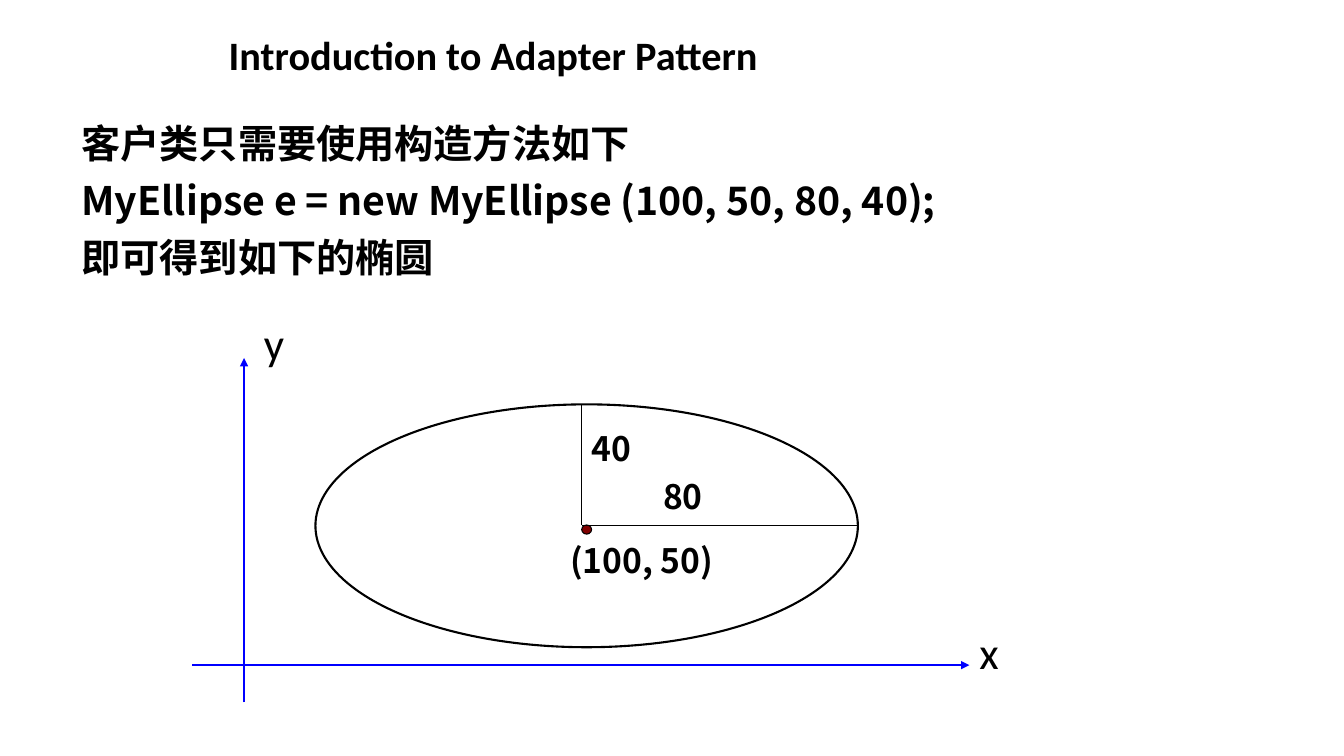
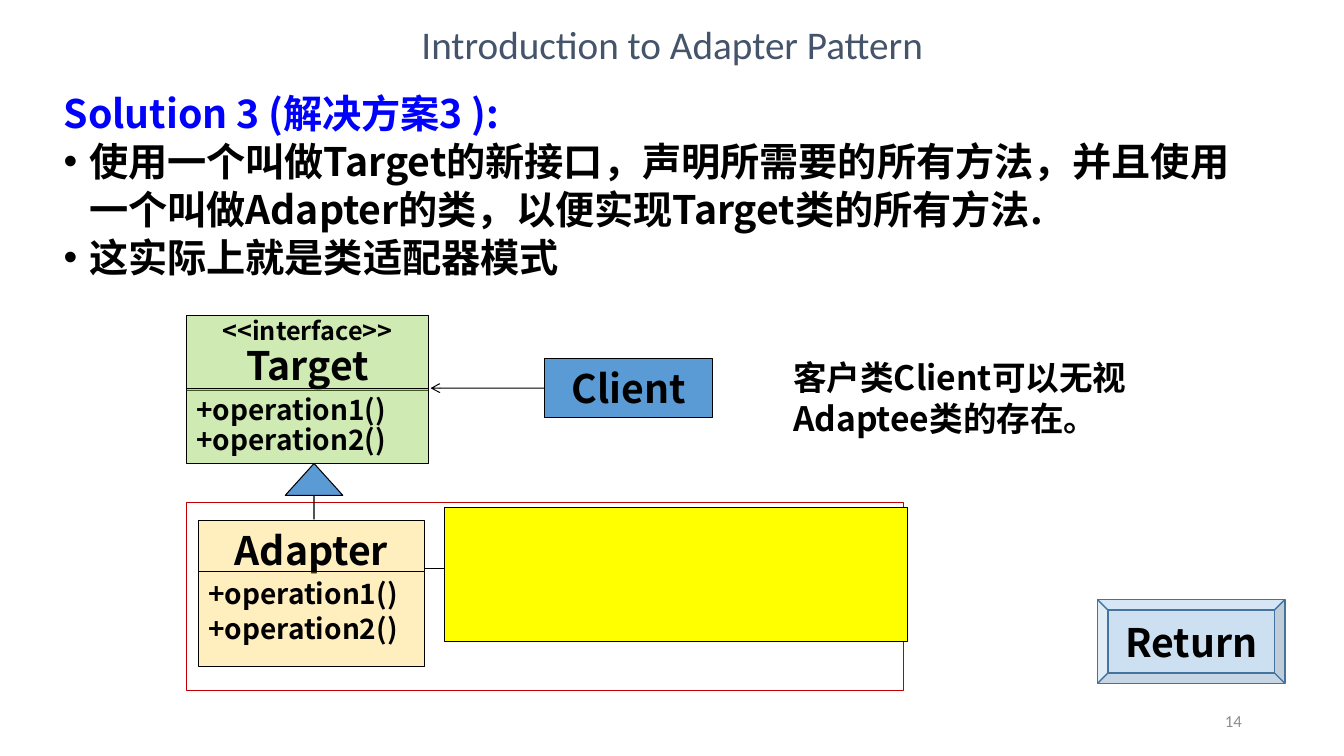
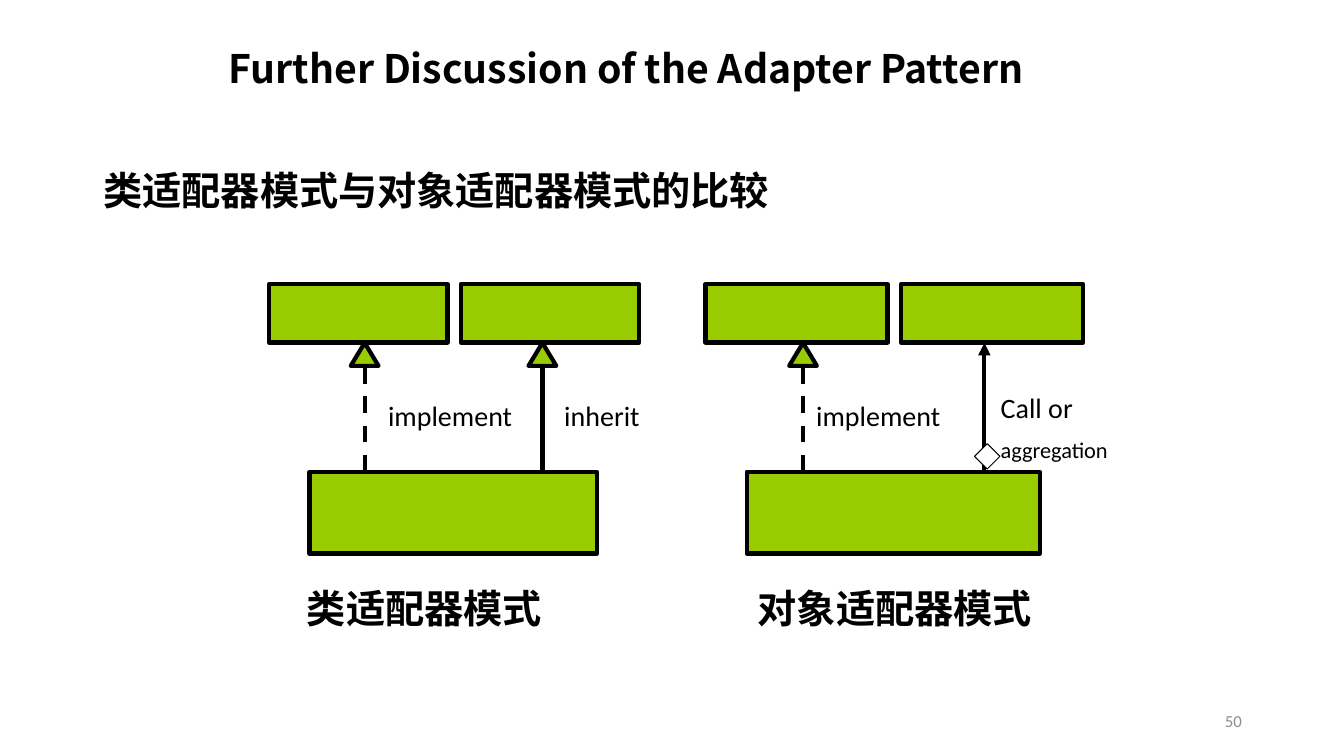
from lxml.etree import SubElement
from pptx import Presentation
from pptx.dml.color import RGBColor
from pptx.enum.dml import MSO_LINE
from pptx.enum.shapes import MSO_CONNECTOR as Connector, MSO_SHAPE as Shape
from pptx.enum.text import MSO_ANCHOR as Anchor, MSO_AUTO_SIZE as AutoSize, PP_ALIGN as Align
from pptx.oxml.ns import qn
from pptx.util import Cm, Pt

COLORS = {
    "black": "000000", "blue": "0000FF", "maroon": "800000", "gray": "8C8C8C",
    "slate": "44546A", "red": "C00000", "green": "92D050", "sky": "5B9BD5",
    "steel": "43739E", "amber": "FFC000", "yellow": "FFFF00", "lime": "99CC00",
    "white": "FFFFFF",
}
CJK, LATIN = "Noto Sans CJK SC", "Calibri"
LINE_HEIGHT = 1.22
HANGING = Cm(0.64)
TEXT = {"size": 28, "font": CJK, "color": "black", "bold": True,
        "align": Align.LEFT, "leading": 1, "before": 0, "bullet": None}
PLAIN = {"font": LATIN, "bold": False}
LABEL = {"size": 24}
AXIS = {"color": "blue", "width": 1.5, "head": "triangle"}
BLOCK = {"fill": "lime", "width": 3}
MEMBERS = ["+operation1()", "+operation2()"]


def assign(target, values):
    for name, value in values.items():
        setattr(target, name, value)


def rgb(name):
    return RGBColor.from_string(COLORS[name])


class Builder:
    def __init__(self):
        self.deck = Presentation()
        assign(self.deck, {"slide_width": Cm(33.87), "slide_height": Cm(19.05)})
        self.page = None

    def start(self, layout, number=None):
        self.page = self.deck.slides.add_slide(self.deck.slide_layouts[layout])
        if number:
            self.text(number, (23.93, 17.65, 7.62, 1.02), Anchor.MIDDLE,
                      **PLAIN, size=12, color="gray", align=Align.RIGHT)

    def fill_text(self, frame, content, anchor=Anchor.TOP, **style):
        assign(frame, {"word_wrap": True, "auto_size": AutoSize.NONE, "vertical_anchor": anchor})
        items = [content] if isinstance(content, str) else content
        for index, item in enumerate(items):
            words, extra = (item, {}) if isinstance(item, str) else item
            look = {**TEXT, **style, **extra}
            para = frame.add_paragraph() if index else frame.paragraphs[0]
            assign(para, {
                "alignment": look["align"],
                "line_spacing": Pt(look["size"] * LINE_HEIGHT * look["leading"]),
                "space_before": Pt(look["before"]),
            })
            if look["bullet"] is not None:
                self.hang(para, look["bullet"])
            span = para.add_run()
            span.text = words
            assign(span.font, {"size": Pt(look["size"]), "name": look["font"], "bold": look["bold"]})
            span.font.color.rgb = rgb(look["color"])
            SubElement(span.font._element, qn("a:ea"), typeface=look["font"])

    def hang(self, para, mark):
        properties = para._p.get_or_add_pPr()
        properties.set("marL", str(HANGING))
        properties.set("indent", str(-HANGING))
        if mark:
            SubElement(properties, qn("a:buFont"), typeface="Arial")
            SubElement(properties, qn("a:buChar"), char=mark)
        else:
            SubElement(properties, qn("a:buNone"))

    def place(self, box, area):
        assign(box, dict(zip(("left", "top", "width", "height"), map(Cm, area))))

    def title(self, words, area, **style):
        box = self.page.shapes.title
        self.place(box, area)
        self.fill_text(box.text_frame, words, Anchor.MIDDLE, **style)

    def body(self, content, area, **style):
        box = self.page.placeholders[1]
        self.place(box, area)
        self.fill_text(box.text_frame, content, **style)

    def text(self, content, area, anchor=Anchor.TOP, **style):
        box = self.page.shapes.add_textbox(*map(Cm, area))
        self.fill_text(box.text_frame, content, anchor, **style)

    def shape(self, kind, area, fill=None, line="black", width=0.75, alpha=None,
              adjust=(), content=None, anchor=Anchor.TOP, **style):
        box = self.page.shapes.add_shape(kind, *map(Cm, area))
        box.shadow.inherit = False
        for index, value in enumerate(adjust):
            box.adjustments[index] = value
        if fill:
            box.fill.solid()
            box.fill.fore_color.rgb = rgb(fill)
        else:
            box.fill.background()
        if alpha:
            color = box.element.find(".//" + qn("a:srgbClr"))
            SubElement(color, qn("a:alpha"), val=str(alpha * 1000))
        box.line.color.rgb = rgb(line)
        box.line.width = Pt(width)
        if content:
            self.fill_text(box.text_frame, content, anchor, **style)
        return box

    def line(self, start, end, color="black", width=0.75, head=None, dash=None, source=None):
        link = self.page.shapes.add_connector(Connector.STRAIGHT, *map(Cm, start + end))
        if source:
            link.begin_connect(*source)
        assign(link.line, {"width": Pt(width), "dash_style": dash})
        link.line.color.rgb = rgb(color)
        if head:
            SubElement(link.line._get_or_add_ln(), qn("a:tailEnd"), type=head)
        SubElement(link.element.spPr, qn("a:effectLst"))


def ellipse_page(builder):
    builder.start(1)
    builder.title("Introduction to Adapter Pattern", (5.51, 0.76, 22.86, 1.35),
                  size=28.8, font=LATIN, leading=0.9)
    builder.body(["客户类只需要使用构造方法如下",
                  "MyEllipse e = new MyEllipse (100, 50, 80, 40);",
                  "即可得到如下的椭圆"],
                 (1.8, 2.97, 26.77, 4.45), leading=0.9, before=10, bullet="")
    center = (14.66, 13.23)
    builder.shape(Shape.OVAL, (7.95, 10.19, 13.67, 6.12), width=1.5)
    builder.line((4.85, 16.76), (24.43, 16.76), **AXIS)
    builder.line((6.15, 17.7), (6.15, 9.02), **AXIS)
    builder.shape(Shape.OVAL, (*center, 0.25, 0.23), fill="maroon")
    for rim in ((21.62, 13.23), (14.66, 10.19)):
        builder.line(center, rim)
    for words, left, top, width in (("(100, 50)", 14.12, 13.46, 5.77),
                                    ("80", 16.46, 11.84, 2.31),
                                    ("40", 14.66, 10.64, 2.31)):
        builder.text(words, (left, top, width, 1.42), **LABEL)
    for words, left, top in (("x", 24.43, 15.6), ("y", 6.4, 7.82)):
        builder.text(words, (left, top, 1.8, 1.78), **PLAIN, size=32)


def class_adapter_page(builder):
    builder.start(1, "14")
    builder.title("Introduction to Adapter Pattern", (5.51, 0.2, 22.86, 1.78),
                  **PLAIN, color="slate", align=Align.CENTER)
    builder.body([("Solution 3 (解决方案3 ):", {"color": "blue", "bullet": ""}),
                  "使用一个叫做Target的新接口，声明所需要的所有方法，并且使用一个叫做Adapter的类，以便实现Target类的所有方法.",
                  "这实际上就是类适配器模式"],
                 (1.35, 2.11, 30.81, 5.44), bullet="•")
    rect = Shape.RECTANGLE
    target = {"fill": "green", "alpha": 43, "anchor": Anchor.MIDDLE, "leading": 0.9}
    adapter = {"fill": "amber", "alpha": 25}
    builder.shape(rect, (4.7, 12.67, 18.08, 4.72), line="red")
    builder.shape(rect, (4.7, 7.95, 6.1, 1.9), align=Align.CENTER, **target,
                  content=[("<<interface>>", {"size": 18}), "Target"])
    builder.shape(rect, (4.7, 9.78, 6.1, 1.9), content=MEMBERS, size=20, **target)
    builder.shape(Shape.UP_ARROW, (7.19, 11.68, 1.45, 1.4), fill="sky", adjust=(0.005, 0.573))
    builder.text(["客户类Client可以无视", "Adaptee类的存在。"], (19.74, 8.86, 8.99, 2.31), **LABEL)
    builder.shape(rect, (5, 13.11, 5.69, 1.3), content="Adapter", align=Align.CENTER, **adapter)
    builder.shape(rect, (5, 14.4, 5.69, 2.39), content=MEMBERS, size=20, **adapter)
    builder.line((10.69, 14.33), (11.2, 14.33))
    client = builder.shape(rect, (13.72, 9.04, 4.24, 1.48), fill="sky",
                           content="Client", align=Align.CENTER)
    builder.line((13.72, 9.78), (10.85, 9.78), head="arrow", source=(client, 1))
    builder.shape(rect, (11.2, 12.78, 11.68, 3.38), fill="yellow")
    builder.shape(Shape.BEVEL, (27.66, 15.11, 4.72, 2.11), fill="sky", alpha=31, line="steel",
                  width=1, content="Return", anchor=Anchor.MIDDLE, align=Align.CENTER)


def comparison_page(builder):
    builder.start(5, "50")
    builder.title("Further Discussion of the Adapter Pattern", (5.51, 0.76, 22.86, 1.98), leading=0.9)
    builder.text("类适配器模式与对象适配器模式的比较", (2.36, 4.04, 20.75, 1.45))
    solid, dashed = None, MSO_LINE.DASH
    for left, scale, stems in ((6.78, 1, ((2.41, dashed, True), (6.89, solid, True))),
                               (17.78, 1.02, ((2.41, dashed, True), (6.89, solid, False)))):
        for offset, top, width, height in ((0, 7.16, 4.5, 1.47), (4.83, 7.16, 4.5, 1.47),
                                           (1.02, 11.89, 7.24, 2.06)):
            builder.shape(Shape.RECTANGLE, (left + offset * scale, top, width * scale, height), **BLOCK)
        for offset, dash, inherits in stems:
            middle = left + offset * scale
            end = 9.22 if inherits else 8.64
            builder.line((middle, 11.89), (middle, end), width=3, dash=dash,
                         head=None if inherits else "triangle")
            if inherits:
                builder.shape(Shape.ISOSCELES_TRIANGLE, (middle - 0.35, 8.64, 0.7, 0.58), **BLOCK)
    for words, left, width in (("类适配器模式", 6.35, 8.69), ("对象适配器模式", 18.42, 8.26)):
        builder.text(words, (left, 14.59, width, 1.45), align=Align.CENTER)
    for words, left, width in (("inherit", 13.97, 2.97), ("implement", 9.53, 4.45),
                               ("implement", 20.32, 4.24)):
        builder.text(words, (left, 9.91, width, 1.09), **PLAIN, size=20)
    builder.text(["Call or", ("aggregation", {"size": 16})], (24.97, 9.7, 3.81, 2.13),
                 **PLAIN, size=20, before=8)
    builder.shape(Shape.DIAMOND, (24.56, 11.18, 0.64, 0.64), fill="white")


def main():
    builder = Builder()
    for build in (ellipse_page, class_adapter_page, comparison_page):
        build(builder)
    builder.deck.save("out.pptx")


if __name__ == "__main__":
    main()
